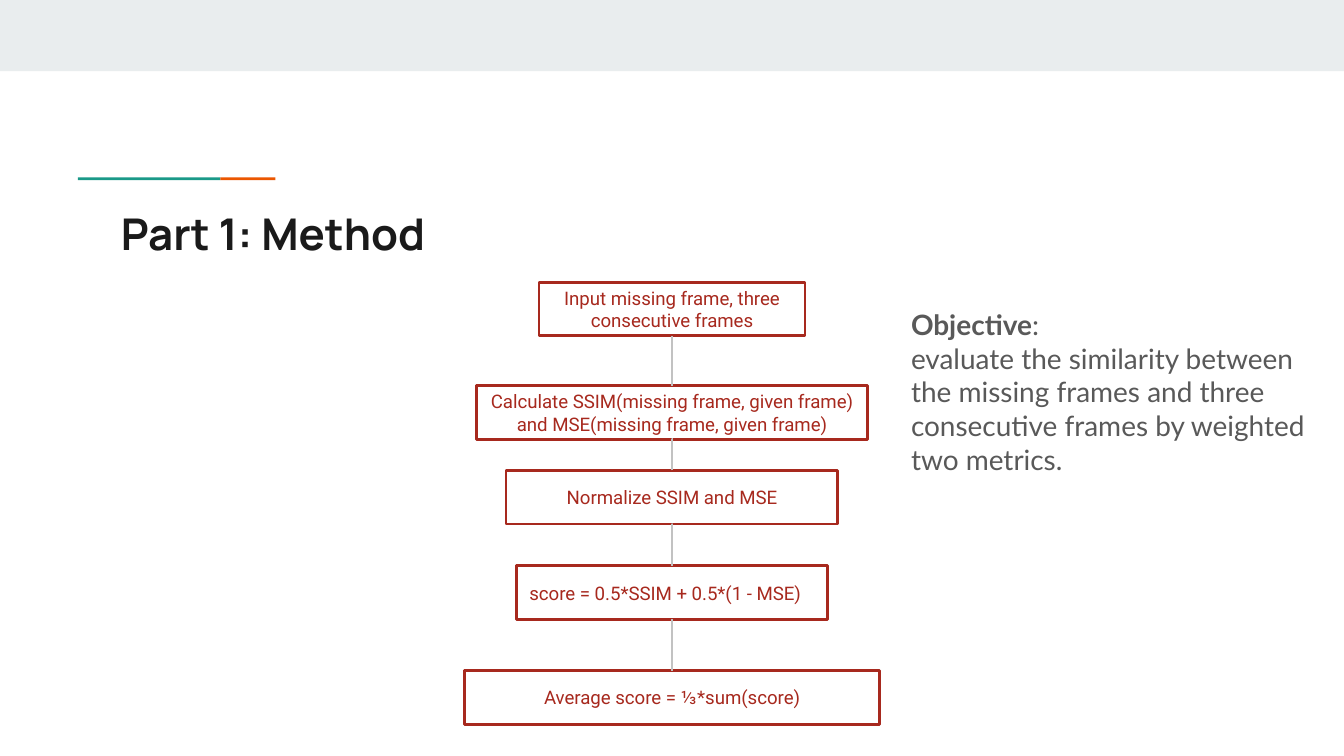
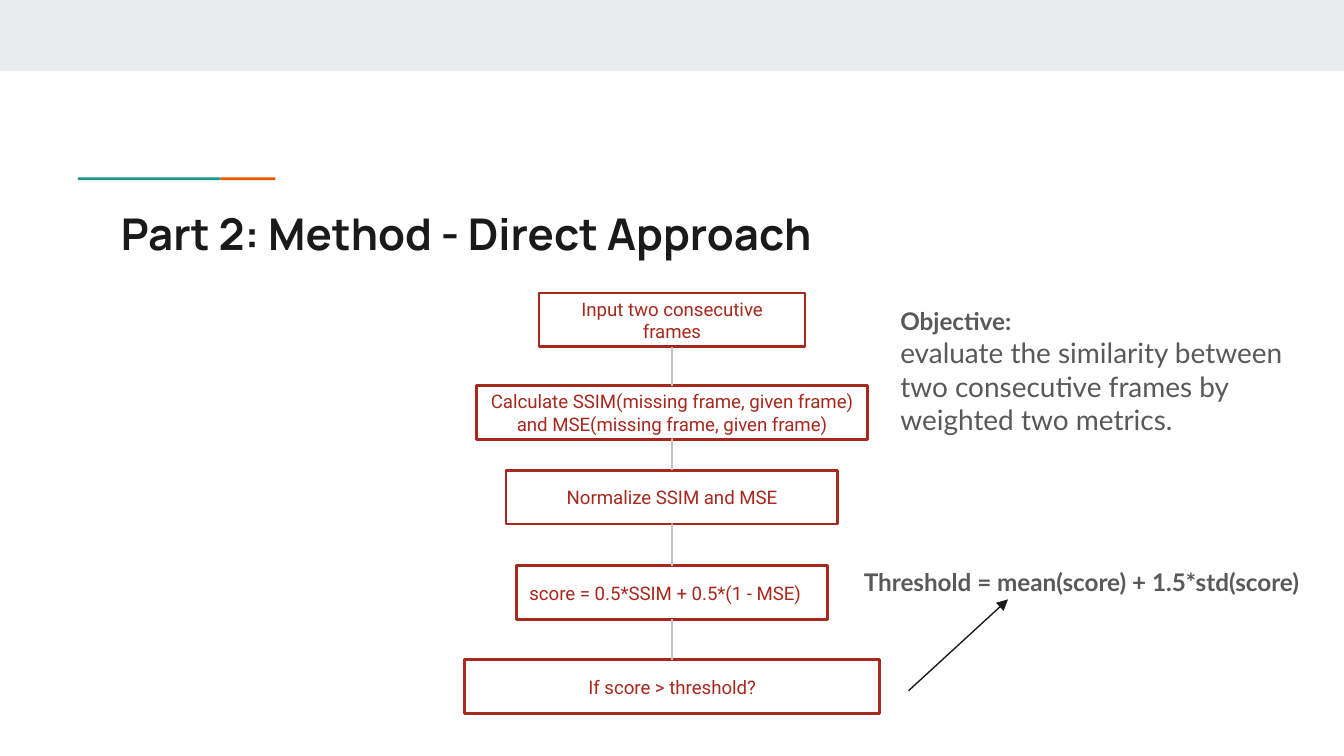
"""Build two method slides, each a flow chart with its objective."""
import pptx
import pptx.dml.color
import pptx.enum.shapes
import pptx.enum.text
import pptx.util
from lxml import etree
from pptx.oxml.ns import qn

Inches = pptx.util.Inches
Pt = pptx.util.Pt
RGBColor = pptx.dml.color.RGBColor
MSO_SHAPE = pptx.enum.shapes.MSO_SHAPE
MSO_CONNECTOR = pptx.enum.shapes.MSO_CONNECTOR
MSO_ANCHOR = pptx.enum.text.MSO_ANCHOR
PP_ALIGN = pptx.enum.text.PP_ALIGN

BAND = RGBColor(0xE9, 0xED, 0xEE)
TEAL = RGBColor(0x1A, 0x99, 0x88)
ORANGE = RGBColor(0xEB, 0x56, 0x00)
INK = RGBColor(0x1A, 0x1A, 0x1A)
RED = RGBColor(0xA7, 0x29, 0x1E)
GREY = RGBColor(0x59, 0x59, 0x59)
LINK = RGBColor(0xC2, 0xC2, 0xC2)

SLIDE_W = 10
SLIDE_H = SLIDE_W * 9 / 16
BOX_H = 0.4
TOP, BOTTOM = 0, 2

SHARED_STEPS = [
    ("Calculate SSIM(missing frame, given frame) "
     "and MSE(missing frame, given frame)", 2.87, 2.91, PP_ALIGN.CENTER),
    ("Normalize SSIM and MSE", 3.5, 2.47, PP_ALIGN.CENTER),
    ("score = 0.5*SSIM + 0.5*(1 - MSE)", 4.21, 2.32, PP_ALIGN.LEFT),
]


def set_frame(tf, anchor):
    """Give a text frame its wrapping, insets and anchor."""
    tf.word_wrap = True
    tf.auto_size = pptx.enum.text.MSO_AUTO_SIZE.NONE
    tf.vertical_anchor = anchor
    tf.margin_left = tf.margin_right = Inches(0.1)
    tf.margin_top = tf.margin_bottom = Inches(0.1)


def set_font(font, name, size, color, bold=False):
    """Set the face, size, colour and weight of a font."""
    font.name, font.size, font.bold = name, Pt(size), bold
    font.color.rgb = color


def add_bar(s, x, y, w, h, color):
    """Add a plain filled rectangle."""
    sp = s.shapes.add_shape(MSO_SHAPE.RECTANGLE, Inches(x), Inches(y), Inches(w), Inches(h))
    sp.shadow.inherit = False
    sp.fill.solid()
    sp.fill.fore_color.rgb = color
    sp.line.fill.background()


def add_titled_slide(prs, title):
    """Add a slide with the top band, the accent rule and a title."""
    s = prs.slides.add_slide(prs.slide_layouts[5])
    add_bar(s, 0, 0, SLIDE_W, 0.53, BAND)
    add_bar(s, 0.58, 1.32, 1.06, 0.02, TEAL)
    add_bar(s, 1.64, 1.32, 0.41, 0.02, ORANGE)
    sp = s.shapes.title
    sp.left, sp.top, sp.width, sp.height = map(Inches, (0.8, 1.44, 8.41, 0.59))
    set_frame(sp.text_frame, MSO_ANCHOR.TOP)
    p = sp.text_frame.paragraphs[0]
    p.text = title
    p.alignment = PP_ALIGN.LEFT
    set_font(p.font, "Manrope", 23.4, INK, True)
    return s


def add_step(s, text, y, w, align):
    """Add one outlined box, centred across the slide."""
    sp = s.shapes.add_shape(MSO_SHAPE.RECTANGLE, Inches((SLIDE_W - w) / 2), Inches(y),
                            Inches(w), Inches(BOX_H))
    sp.shadow.inherit = False
    sp.fill.background()
    sp.line.color.rgb = RED
    sp.line.width = Pt(1.5)
    set_frame(sp.text_frame, MSO_ANCHOR.MIDDLE)
    p = sp.text_frame.paragraphs[0]
    p.text = text
    p.alignment = align
    set_font(p.font, "Roboto", 10, RED)
    return sp


def add_line(s, kind, start, end, color, width):
    """Add a connector without a shadow."""
    sp = s.shapes.add_connector(kind, *map(Inches, start + end))
    sp.line.color.rgb = color
    sp.line.width = Pt(width)
    etree.SubElement(sp._element.spPr, qn("a:effectLst"))
    return sp


def add_flow(s, steps):
    """Stack the steps and join each one to the next."""
    boxes = [add_step(s, *step) for step in steps]
    for upper, lower in zip(boxes, boxes[1:]):
        sp = add_line(s, MSO_CONNECTOR.ELBOW, (5, 3), (5, 4), LINK, 1.5)
        sp.begin_connect(lower, TOP)
        sp.end_connect(upper, BOTTOM)


def add_note(s, x, y, w, h, paragraphs):
    """Add grey text; each paragraph is a list of (text, size, bold)."""
    tf = s.shapes.add_textbox(Inches(x), Inches(y), Inches(w), Inches(h)).text_frame
    set_frame(tf, MSO_ANCHOR.TOP)
    for i, runs in enumerate(paragraphs):
        p = tf.add_paragraph() if i else tf.paragraphs[0]
        for text, size, bold in runs:
            r = p.add_run()
            r.text = text
            set_font(r.font, "Lato", size, GREY, bold)


def add_arrow(s, start, end):
    """Add a thin line with a triangle at its end."""
    sp = add_line(s, MSO_CONNECTOR.STRAIGHT, start, end, INK, 0.75)
    etree.SubElement(sp.line._get_or_add_ln(), qn("a:tailEnd"), type="triangle")


def add_part_one(prs):
    """Add the slide on scoring a missing frame."""
    s = add_titled_slide(prs, "Part 1: Method")
    add_flow(s, [
        ("Input missing frame, three consecutive frames", 2.1, 1.98, PP_ALIGN.CENTER),
        *SHARED_STEPS,
        ("Average score = ⅓*sum(score)", 4.99, 3.09, PP_ALIGN.CENTER),
    ])
    add_note(s, 6.68, 2.19, 3.32, 1.66, [
        [("Objective", 15, True), (":", 15, False)],
        [("evaluate the similarity between the missing frames and three "
          "consecutive frames by weighted two metrics.", 15, False)],
    ])


def add_part_two(prs):
    """Add the slide on the direct approach and its threshold."""
    s = add_titled_slide(prs, "Part 2: Method - Direct Approach")
    add_flow(s, [
        ("Input two consecutive frames", 2.18, 1.98, PP_ALIGN.CENTER),
        *SHARED_STEPS,
        ("If score > threshold?", 4.91, 3.09, PP_ALIGN.CENTER),
    ])
    add_note(s, 6.6, 2.18, 3.09, 1.47, [
        [("Objective:", 13, True)],
        [("evaluate the similarity between two consecutive frames by "
          "weighted two metrics.", 15, False)],
    ])
    add_note(s, 6.33, 4.12, 3.67, 0.42,
             [[("Threshold = mean(score) + 1.5*std(score)", 13, True)]])
    add_arrow(s, (6.76, 5.14), (7.5, 4.46))


def main():
    """Build and save the presentation."""
    prs = pptx.Presentation()
    prs.slide_width, prs.slide_height = Inches(SLIDE_W), Inches(SLIDE_H)
    add_part_one(prs)
    add_part_two(prs)
    prs.save("out.pptx")


if __name__ == "__main__":
    main()
